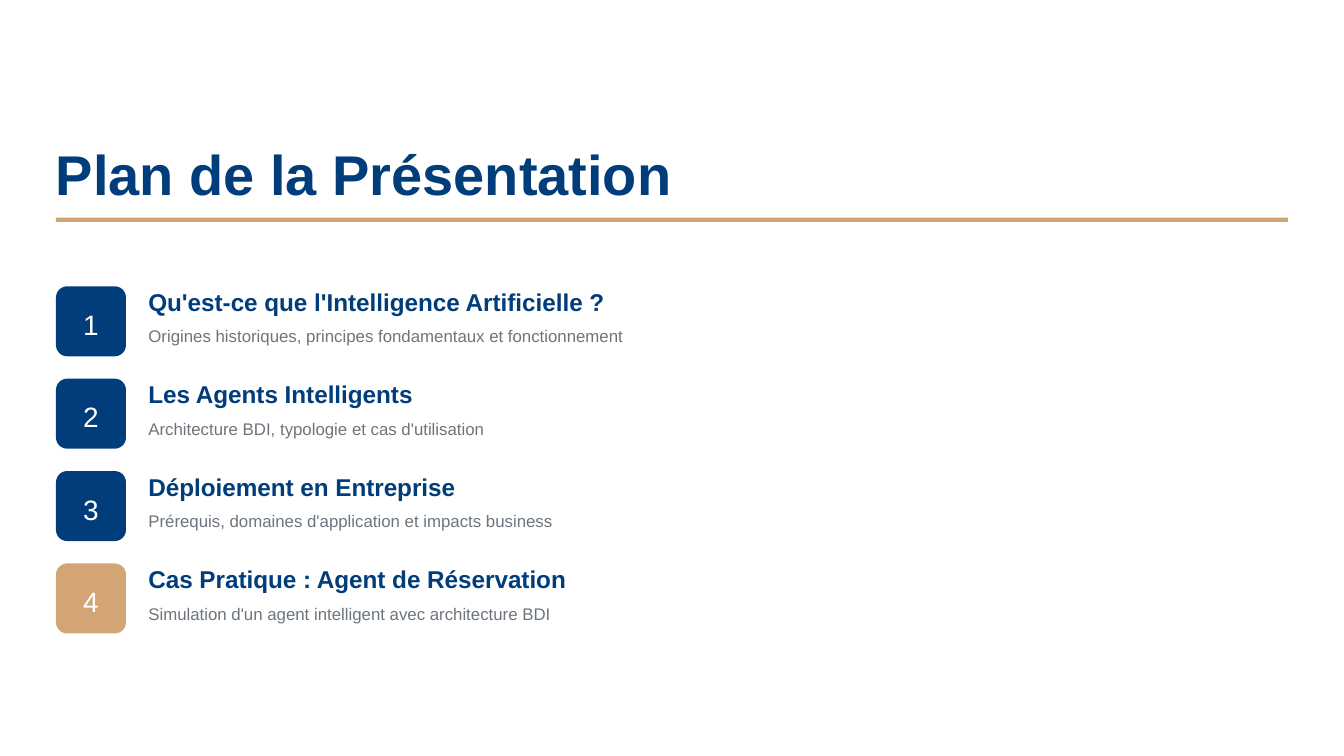
"""Build the agenda slide: a ruled title and four numbered topics."""
from pptx import Presentation
from pptx.dml.color import RGBColor
from pptx.enum.shapes import MSO_SHAPE
from pptx.enum.text import MSO_AUTO_SIZE
from pptx.util import Emu, Pt

RECT = MSO_SHAPE.RECTANGLE
ROUND = MSO_SHAPE.ROUNDED_RECTANGLE
GROW = MSO_AUTO_SIZE.SHAPE_TO_FIT_TEXT

NAVY = RGBColor(0x00, 0x3D, 0x7A)
TAN = RGBColor(0xD4, 0xA5, 0x74)
GREY = RGBColor(0x6C, 0x75, 0x7D)
WHITE = RGBColor(0xFF, 0xFF, 0xFF)

FONT = "Arial"
SCALE = 914400 / 192
LEFT = 80
TOP = 409
STEP = 132
SIDE = 100
GAP = 32

TOPICS = [
    ("Qu'est-ce que l'Intelligence Artificielle ?",
     "Origines historiques, principes fondamentaux et fonctionnement", 749, NAVY),
    ("Les Agents Intelligents",
     "Architecture BDI, typologie et cas d'utilisation", 530, NAVY),
    ("Déploiement en Entreprise",
     "Prérequis, domaines d'application et impacts business", 637, NAVY),
    ("Cas Pratique : Agent de Réservation",
     "Simulation d'un agent intelligent avec architecture BDI", 636, TAN),
]


def px(*sizes):
    """Turn pixel lengths into EMU."""
    return [Emu(int(size * SCALE)) for size in sizes]


def add_block(slide, kind, box, fill):
    """Draw a plain filled shape."""
    block = slide.shapes.add_shape(kind, *px(*box))
    block.shadow.inherit = False
    block.fill.solid()
    block.fill.fore_color.rgb = fill
    block.line.fill.background()
    return block


def add_label(slide, text, box, size, lead, color, bold=False):
    """Write one line of text in a box without margins."""
    frame = slide.shapes.add_textbox(*px(*box)).text_frame
    frame.margin_left = frame.margin_right = 0
    frame.margin_top = frame.margin_bottom = 0
    frame.word_wrap = True
    frame.auto_size = GROW
    line = frame.paragraphs[0]
    line.line_spacing = Pt(lead)
    run = line.add_run()
    run.text = text
    run.font.name = FONT
    run.font.size = Pt(size)
    run.font.bold = bold
    run.font.color.rgb = color


def add_topic(slide, index, head, note, width, fill):
    """Draw a numbered badge with its heading and note."""
    top = TOP + index * STEP
    left = LEFT + SIDE + GAP
    badge = add_block(slide, ROUND, (LEFT, top, SIDE, SIDE), fill)
    badge.adjustments[0] = 0.16
    add_label(slide, str(index + 1), (LEFT + 39, top + 22, 23, 54), 15, 21, WHITE)
    add_label(slide, head, (left, top, width, 43), 13, 16, NAVY, True)
    add_label(slide, note, (left, top + 51, width, 33), 9, 13, GREY)


def main():
    """Build and save the slide."""
    deck = Presentation()
    deck.slide_width, deck.slide_height = px(1920, 1080)
    slide = deck.slides.add_slide(deck.slide_layouts[6])
    add_label(slide, "Plan de la Présentation", (LEFT, 215, 900, 80), 30, 30, NAVY, True)
    add_block(slide, RECT, (LEFT, 311, 1760, 6), TAN)
    for index, topic in enumerate(TOPICS):
        add_topic(slide, index, *topic)
    deck.save("out.pptx")


if __name__ == "__main__":
    main()
